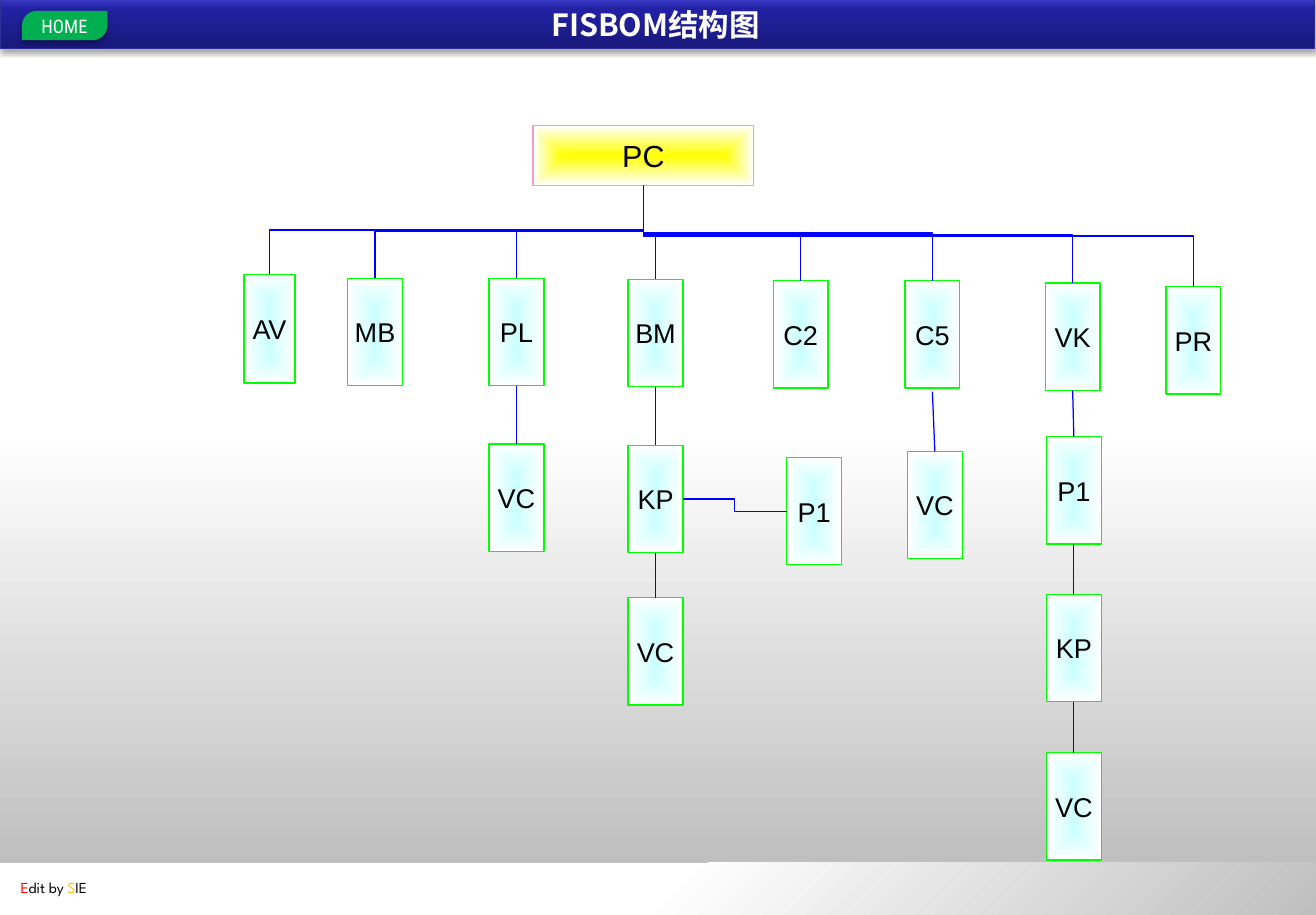
"""Build the FISBOM structure tree slide."""
from dataclasses import dataclass
from enum import Enum
from typing import Optional

from lxml import etree
from pptx import Presentation
from pptx import util as u
from pptx.dml.color import RGBColor
from pptx.enum import shapes, text
from pptx.oxml import ns

WIDTH, HEIGHT = 10.79, 7.5
BLUE, WHITE, BLACK = "0000FF", "FFFFFF", "000000"
UPWARD = '<a:lin ang="16200000" scaled="0"/>'


class Route(Enum):
    TRUNK = "trunk"
    DOWN = "down"
    SIDE = "side"


@dataclass(frozen=True)
class Span:
    words: str
    size: float
    font: str
    color: str = BLACK
    bold: bool = False


@dataclass(frozen=True)
class Node:
    label: str
    left: float
    top: float
    children: tuple["Node", ...] = ()
    route: Route = Route.DOWN
    gap: float = 0
    width: float = 0.45
    height: float = 0.88
    size: float = 16
    core: str = "CCFFFF"
    edge: str = "00FF00"

    @property
    def center(self) -> float:
        return self.left + self.width / 2

    @property
    def middle(self) -> float:
        return self.top + self.height / 2

    @property
    def bottom(self) -> float:
        return self.top + self.height


def branch(label: str, left: float, top: float, *children: Node, width: float = 0.45,
           height: float = 0.88) -> Node:
    return Node(label, left, top, children, Route.TRUNK, width=width, height=height)


TREE = Node("PC", 4.37, 1.03, (
    branch("AV", 2, 2.25, width=0.42, height=0.89),
    branch("MB", 2.85, 2.28),
    branch("PL", 4.01, 2.28, Node("VC", 4.01, 3.64)),
    branch("BM", 5.15, 2.29, Node("KP", 5.15, 3.65, (
        Node("P1", 6.45, 3.75, route=Route.SIDE),
        Node("VC", 5.15, 4.9)))),
    branch("C2", 6.34, 2.3),
    branch("C5", 7.42, 2.3, Node("VC", 7.44, 3.7, gap=0.03)),
    branch("VK", 8.57, 2.32, Node("P1", 8.58, 3.58, (
        Node("KP", 8.58, 4.87, (Node("VC", 8.58, 6.17),)),))),
    branch("PR", 9.56, 2.35),
), width=1.81, height=0.49, size=18, core="FFFF00", edge="FF99CC")


def rgb(color: str) -> RGBColor:
    return RGBColor.from_string(color)


def focus(kind: str, left: int, top: int, right: int, bottom: int) -> str:
    sides = zip("ltrb", (left, top, right, bottom))
    rect = " ".join(f'{side}="{value * 1000}"' for side, value in sides)
    return f'<a:path path="{kind}"><a:fillToRect {rect}/></a:path>'


def fill_gradient(box, stops: list[tuple[int, str]], direction: str) -> None:
    box.fill.background()
    marks = "".join(f'<a:gs pos="{at * 1000}"><a:srgbClr val="{color}"/></a:gs>'
                    for at, color in stops)
    gradient = etree.fromstring(
        f'<a:gradFill {ns.nsdecls("a")} rotWithShape="1"><a:gsLst>{marks}</a:gsLst>'
        f'{direction}</a:gradFill>')
    properties = box._element.spPr
    properties.replace(properties.find(ns.qn("a:noFill")), gradient)


def add_shadow(box, opacity: int, blur: float, distance: float) -> None:
    effects = box._element.spPr.find(ns.qn("a:effectLst"))
    effects.append(etree.fromstring(
        f'<a:outerShdw {ns.nsdecls("a")} blurRad="{u.Pt(blur)}" dist="{u.Pt(distance)}" '
        f'dir="5400000" rotWithShape="0"><a:srgbClr val="{BLACK}">'
        f'<a:alpha val="{opacity * 1000}"/></a:srgbClr></a:outerShdw>'))


def add_box(page, left: float, top: float, width: float, height: float,
            edge: Optional[str] = None, kind=shapes.MSO_SHAPE.RECTANGLE):
    box = page.shapes.add_shape(kind, *map(u.Inches, (left, top, width, height)))
    box.shadow.inherit = False
    if edge:
        box.line.color.rgb = rgb(edge)
        box.line.width = u.Pt(0.75)
    else:
        box.line.fill.background()
    return box


def write(box, spans: list[Span], align=text.PP_ALIGN.CENTER,
          anchor=text.MSO_ANCHOR.MIDDLE, wrap: bool = True) -> None:
    frame = box.text_frame
    frame.word_wrap, frame.vertical_anchor = wrap, anchor
    frame.margin_left = frame.margin_right = u.Inches(0.09)
    frame.margin_top = frame.margin_bottom = u.Inches(0.04)
    para = frame.paragraphs[0]
    para.alignment = align
    for span in spans:
        run = para.add_run()
        run.text = span.words
        run.font.size, run.font.bold = u.Pt(span.size), span.bold
        run.font.name = span.font
        run.font.color.rgb = rgb(span.color)
        east = etree.SubElement(run.font._element, ns.qn("a:ea"))
        east.set("typeface", span.font)


def add_line(page, kind, x1: float, y1: float, x2: float, y2: float):
    line = page.shapes.add_connector(kind, *map(u.Inches, (x1, y1, x2, y2)))
    line.line.color.rgb = rgb(BLUE)
    line.line.width = u.Pt(0.75)
    etree.SubElement(line._element.spPr, ns.qn("a:effectLst"))
    return line


def add_trunk(page, parent: Node, child: Node) -> None:
    across, down = child.center - parent.center, child.top - parent.bottom
    x, y = (child.center + parent.center) / 2, (child.top + parent.bottom) / 2
    reach = down / 2 if across < 0 else -down / 2
    rise = abs(across) / 2
    line = add_line(page, shapes.MSO_CONNECTOR.ELBOW, x - reach, y - rise, x + reach, y + rise)
    turn = 90 if across < 0 else 270
    line._element.spPr.find(ns.qn("a:xfrm")).set("rot", str(turn * 60000))


def link(page, parent: Node, parent_box, child: Node, child_box) -> None:
    if child.route is Route.TRUNK:
        add_trunk(page, parent, child)
    elif child.route is Route.SIDE:
        add_line(page, shapes.MSO_CONNECTOR.ELBOW, parent.left + parent.width, parent.middle,
                 child.left, child.middle)
    else:
        line = add_line(page, shapes.MSO_CONNECTOR.STRAIGHT, parent.center,
                        parent.bottom + child.gap, child.center, child.top)
        if not child.gap:
            line.begin_connect(parent_box, 2)
        line.end_connect(child_box, 0)


def draw_node(page, node: Node):
    box = add_box(page, node.left, node.top, node.width, node.height, node.edge)
    fill_gradient(box, [(0, node.core), (100, WHITE)], focus("shape", 50, 50, 50, 50))
    write(box, [Span(node.label, node.size, "Arial")], wrap=False)
    for child in node.children:
        link(page, node, box, child, draw_node(page, child))
    return box


def draw_frame(page) -> None:
    fade = [(0, "BFBFBF"), (50, WHITE)]
    fill_gradient(add_box(page, 0, 0, WIDTH, 7.1), fade, UPWARD)
    fill_gradient(add_box(page, 0, 7.07, WIDTH, 0.47), fade, focus("circle", 100, 100, 0, 0))

    credit = page.shapes.add_textbox(*map(u.Inches, (0.08, 7.16, 1.85, 0.24)))
    parts = [("E", "FF0000"), ("dit by ", BLACK), ("S", "FFC000"), ("IE", BLACK)]
    write(credit, [Span(words, 9, "League Spartan", color) for words, color in parts],
          text.PP_ALIGN.LEFT, text.MSO_ANCHOR.TOP)

    header = add_box(page, 0, -0.01, 10.78, 0.41, "2F2F98")
    fill_gradient(header, [(0, "18187C"), (80, "2222A3"), (100, "3C3CCB")], UPWARD)
    add_shadow(header, 35, 3.1, 1.8)

    home = add_box(page, 0.18, 0.09, 0.7, 0.24, kind=shapes.MSO_SHAPE.ROUND_2_DIAG_RECTANGLE)
    home.adjustments[0], home.adjustments[1] = 0.5, 0
    home.fill.solid()
    home.fill.fore_color.rgb = rgb("00B050")
    add_shadow(home, 32, 3.5, 2.2)
    write(home, [Span("HOME", 11, "Roboto Condensed", WHITE)])

    title = page.shapes.add_textbox(*map(u.Inches, (2.87, 0.02, 5.01, 0.36)))
    write(title, [Span("FISBOM结构图", 18, "Noto Sans CJK SC", WHITE, True)])


def main() -> None:
    deck = Presentation()
    deck.slide_width, deck.slide_height = u.Inches(WIDTH), u.Inches(HEIGHT)
    page = deck.slides.add_slide(deck.slide_layouts[6])
    draw_frame(page)
    draw_node(page, TREE)
    deck.save("out.pptx")


if __name__ == "__main__":
    main()
